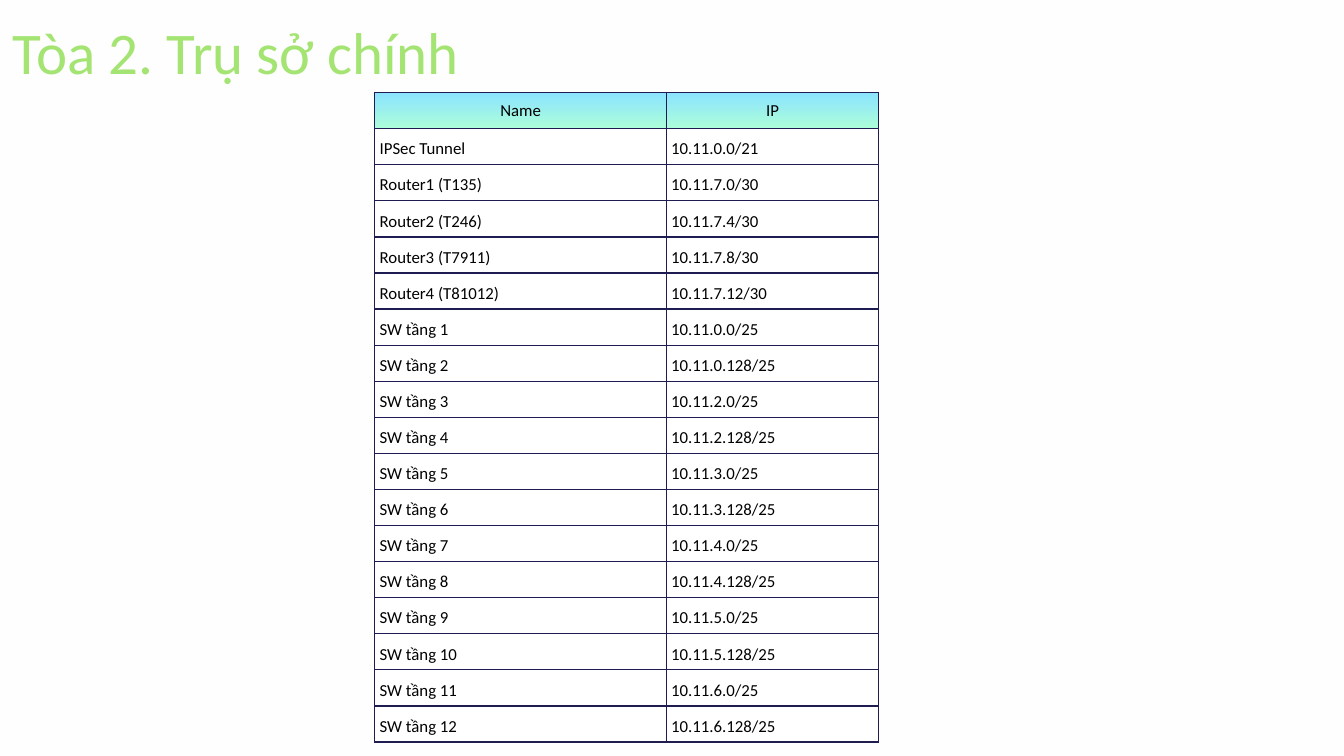
from dataclasses import dataclass

from lxml import etree
from pptx import Presentation
from pptx.dml.color import RGBColor
from pptx.enum.text import MSO_ANCHOR, MSO_AUTO_SIZE, PP_ALIGN
from pptx.oxml.ns import qn
from pptx.util import Cm, Pt

TOP = MSO_ANCHOR.TOP
MIDDLE = MSO_ANCHOR.MIDDLE
GROW = MSO_AUTO_SIZE.SHAPE_TO_FIT_TEXT
LEFT = PP_ALIGN.LEFT
CENTER = PP_ALIGN.CENTER
TITLE_ONLY = 5

ROUTERS = ["T135", "T246", "T7911", "T81012"]
FLOOR_BLOCKS = [0, 2, 3, 4, 5, 6]


@dataclass(frozen=True)
class Theme:
    font: str = "Calibri"
    background: str = "FEFEFE"
    title: str = "A4E473"
    text: str = "000000"
    cell: str = "FFFFFF"
    border: str = "1F1C51"
    header: tuple = ("8BE3FF", "ACFFD9")
    title_size: float = 63.2
    title_line: float = 82.2
    text_size: float = 18
    border_width: float = 1.5


class SlideBuilder:
    def __init__(self, slide, theme):
        self.slide = slide
        self.theme = theme
        fill = slide.background.fill
        fill.solid()
        fill.fore_color.rgb = RGBColor.from_string(theme.background)

    def style(self, para, size, color):
        para.font.name = self.theme.font
        para.font.size = Pt(size)
        para.font.bold = False
        para.font.color.rgb = RGBColor.from_string(color)

    def title(self, text, left, top, width, height, inset_top):
        box = self.slide.shapes.title
        box.left, box.top, box.width, box.height = left, top, width, height
        frame = box.text_frame
        frame.text = text
        frame.word_wrap = True
        frame.auto_size = GROW
        frame.vertical_anchor = TOP
        frame.margin_left = frame.margin_right = frame.margin_bottom = 0
        frame.margin_top = inset_top
        para = frame.paragraphs[0]
        para.alignment = LEFT
        para.line_spacing = Pt(self.theme.title_line)
        para.space_before = Pt(0)
        self.style(para, self.theme.title_size, self.theme.title)

    def borders(self, cell):
        properties = cell._tc.get_or_add_tcPr()
        for side in ("a:lnL", "a:lnR", "a:lnT", "a:lnB"):
            line = etree.SubElement(properties, qn(side), w=str(Pt(self.theme.border_width)))
            fill = etree.SubElement(line, qn("a:solidFill"))
            etree.SubElement(fill, qn("a:srgbClr"), val=self.theme.border)

    def header_cell(self, cell):
        cell.vertical_anchor = MIDDLE
        cell.margin_left = cell.margin_right = Cm(0.25)
        cell.margin_top = cell.margin_bottom = Cm(0.25)
        cell.text_frame.paragraphs[0].alignment = CENTER
        cell.fill.gradient()
        cell.fill.gradient_angle = 270
        for position, (stop, color) in enumerate(zip(cell.fill.gradient_stops, self.theme.header)):
            stop.position = position
            stop.color.rgb = RGBColor.from_string(color)

    def body_cell(self, cell):
        cell.vertical_anchor = TOP
        cell.margin_left = cell.margin_right = Cm(0.18)
        cell.margin_top = cell.margin_bottom = 0
        cell.text_frame.paragraphs[0].line_spacing = 1.5
        cell.fill.solid()
        cell.fill.fore_color.rgb = RGBColor.from_string(self.theme.cell)

    def table(self, rows, left, top, widths, height):
        frame = self.slide.shapes.add_table(
            len(rows), len(widths), left, top, sum(widths), height
        )
        table = frame.table
        table.first_row = table.horz_banding = False
        for column, width in zip(table.columns, widths):
            column.width = width
        for row_number, values in enumerate(rows):
            for column_number, value in enumerate(values):
                cell = table.cell(row_number, column_number)
                cell.text = value
                self.borders(cell)
                if row_number == 0:
                    self.header_cell(cell)
                else:
                    self.body_cell(cell)
                self.style(cell.text_frame.paragraphs[0], self.theme.text_size, self.theme.text)


def address_rows():
    rows = [("Name", "IP"), ("IPSec Tunnel", "10.11.0.0/21")]
    for index, code in enumerate(ROUTERS):
        rows.append((f"Router{index + 1} ({code})", f"10.11.7.{4 * index}/30"))
    subnets = [f"10.11.{block}.{host}/25" for block in FLOOR_BLOCKS for host in (0, 128)]
    for floor, subnet in enumerate(subnets, start=1):
        rows.append((f"SW tầng {floor}", subnet))
    return rows


def main():
    deck = Presentation()
    deck.slide_width, deck.slide_height = Cm(50.8), Cm(28.58)
    page = deck.slides.add_slide(deck.slide_layouts[TITLE_ONLY])
    builder = SlideBuilder(page, Theme())
    builder.title("Tòa 2. Trụ sở chính", Cm(0.48), Cm(-0.08), Cm(31.24), Cm(3.25), Cm(0.45))
    builder.table(address_rows(), Cm(14.17), Cm(3.5), [Cm(11.02), Cm(8.03)], Cm(24.56))
    deck.save("out.pptx")


if __name__ == "__main__":
    main()
